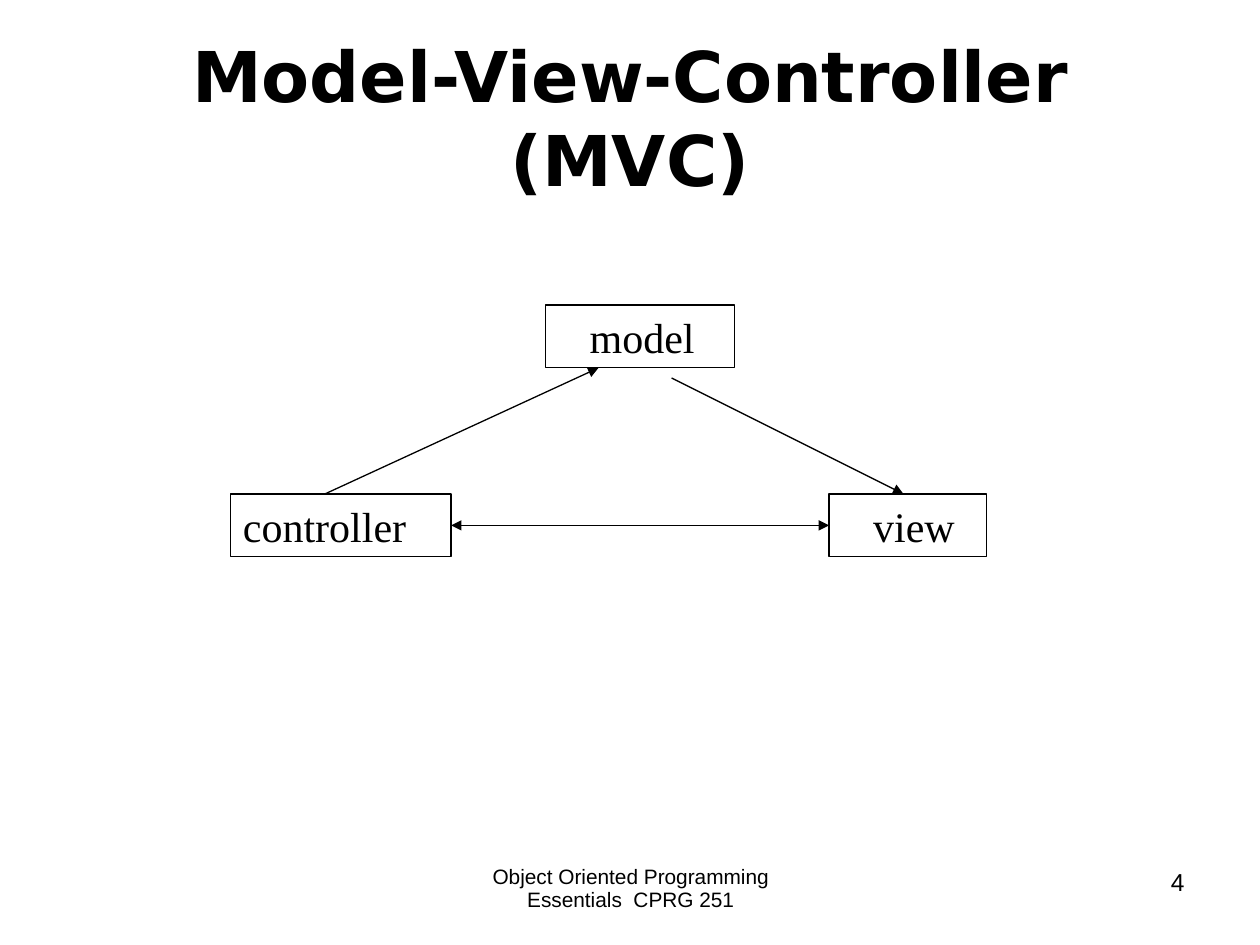
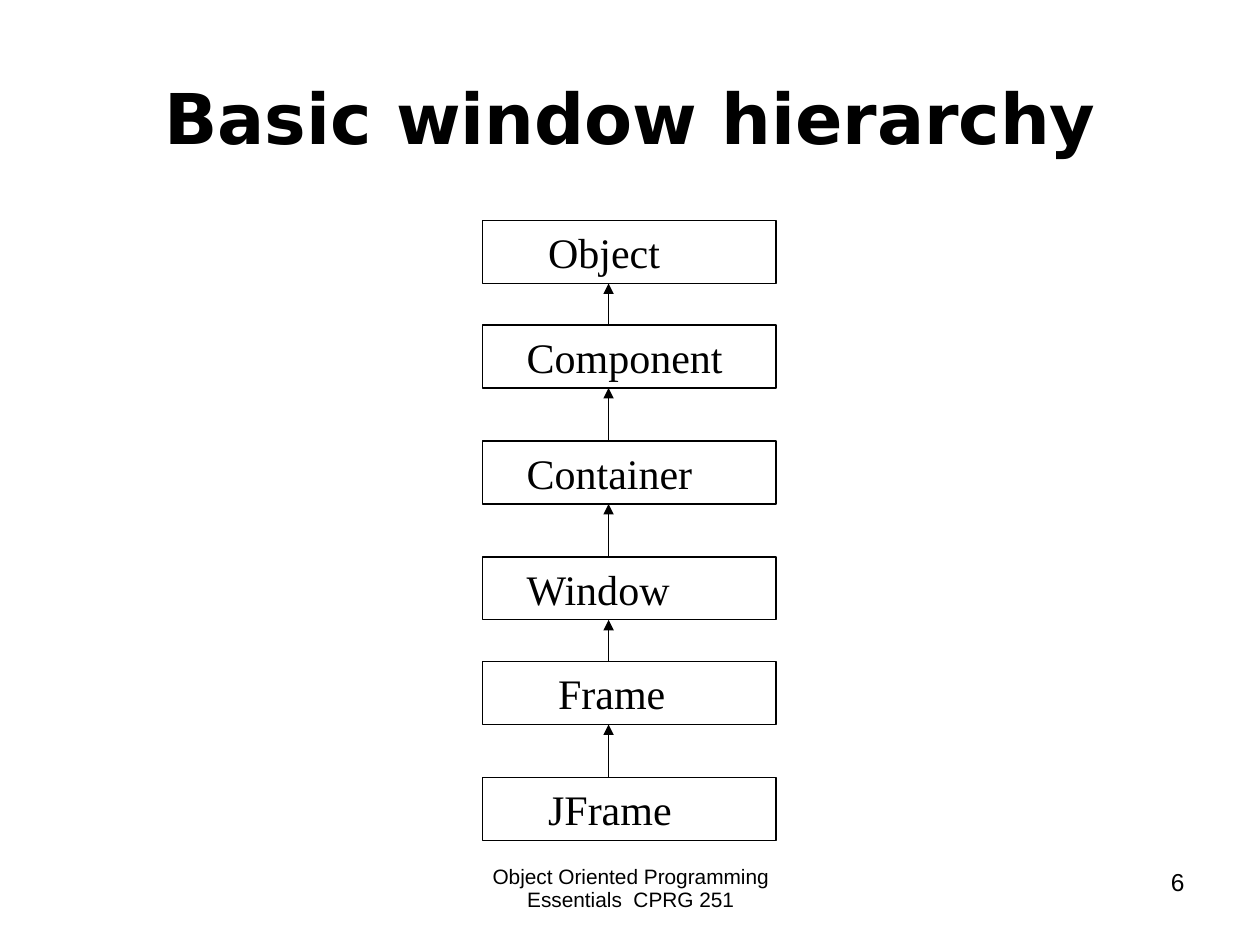
from itertools import pairwise

from lxml import etree
from pptx import Presentation
from pptx.dml.color import RGBColor
from pptx.enum.shapes import MSO_CONNECTOR, MSO_SHAPE
from pptx.enum.text import MSO_ANCHOR, MSO_AUTO_SIZE, PP_ALIGN
from pptx.oxml.ns import qn
from pptx.util import Inches, Pt

RECT = MSO_SHAPE.RECTANGLE
STRAIGHT = MSO_CONNECTOR.STRAIGHT
TOP, MIDDLE = MSO_ANCHOR.TOP, MSO_ANCHOR.MIDDLE
LEFT, CENTER, RIGHT = PP_ALIGN.LEFT, PP_ALIGN.CENTER, PP_ALIGN.RIGHT
NO_FIT = MSO_AUTO_SIZE.NONE
TITLE_ONLY = 5
LEFT_SIDE, RIGHT_SIDE = 1, 3

COLORS = {"ink": "000000", "paper": "FFFFFF"}
FONTS = {
    "title": {"name": "DejaVu Sans", "size": Pt(40), "bold": True},
    "box": {"name": "Times New Roman", "size": Pt(24)},
    "footer": {"name": "Arial", "size": Pt(11.9)},
    "number": {"name": "Arial", "size": Pt(14)},
}
FOOTER = "Object Oriented Programming Essentials  CPRG 251"
BOX_HEIGHT = 0.5
PADDING = 0.1


class Deck:
    def __init__(self):
        self.prs = Presentation()
        self.prs.slide_width = Inches(10)
        self.prs.slide_height = Inches(7.5)
        self.s = None

    def color(self, name):
        return RGBColor.from_string(COLORS[name])

    def slide(self, title, number):
        self.s = self.prs.slides.add_slide(self.prs.slide_layouts[TITLE_ONLY])
        fill = self.s.background.fill
        fill.solid()
        fill.fore_color.rgb = self.color("paper")
        self.label(FOOTER, 3.42, 3.17, "footer", CENTER, 0.9)
        self.label(str(number), 7.17, 2.33, "number", RIGHT)
        sp = self.s.shapes.title
        self.place(sp, 0.5, 0.3, 9, 1.25)
        self.text(sp, title, "title", CENTER, MIDDLE)

    def place(self, sp, x, y, w, h):
        for name, value in {"left": x, "top": y, "width": w, "height": h}.items():
            setattr(sp, name, Inches(value))

    def text(self, sp, text, style, align, anchor, indent=0, spacing=None):
        tf = sp.text_frame
        frame = {
            "text": text,
            "word_wrap": True,
            "auto_size": NO_FIT,
            "vertical_anchor": anchor,
            "margin_left": Inches(PADDING + indent),
            "margin_right": Inches(PADDING),
        }
        for name, value in frame.items():
            setattr(tf, name, value)
        p = tf.paragraphs[0]
        p.alignment = align
        p.line_spacing = spacing
        for r in p.runs:
            for name, value in FONTS[style].items():
                setattr(r.font, name, value)
            r.font.color.rgb = self.color("ink")

    def label(self, text, x, w, style, align, spacing=None):
        sp = self.s.shapes.add_textbox(Inches(x), Inches(6.83), Inches(w), Inches(0.52))
        self.text(sp, text, style, align, TOP, spacing=spacing)

    def outline(self, sp):
        sp.line.color.rgb = self.color("ink")
        sp.line.width = Pt(0.75)

    def box(self, text, x, y, w, indent=0):
        sp = self.s.shapes.add_shape(RECT, Inches(x), Inches(y), Inches(w), Inches(BOX_HEIGHT))
        sp.shadow.inherit = False
        sp.fill.background()
        self.outline(sp)
        self.text(sp, text, "box", LEFT, MIDDLE, indent)
        return sp

    def arrow(self, x1, y1, x2, y2, ends=("tailEnd",)):
        line = self.s.shapes.add_connector(STRAIGHT, *map(Inches, (x1, y1, x2, y2)))
        self.outline(line)
        ln = line.line._get_or_add_ln()
        for end in ends:
            etree.SubElement(ln, qn(f"a:{end}"), type="triangle")
        etree.SubElement(line._element.spPr, qn("a:effectLst"))
        return line


def mvc_slide(deck):
    deck.slide("Model-View-Controller\v(MVC)", 4)
    deck.box("model", 4.33, 2.42, 1.5, 0.25)
    controller = deck.box("controller", 1.83, 3.92, 1.75)
    view = deck.box("view", 6.58, 3.92, 1.25, 0.25)
    deck.arrow(2.58, 3.92, 4.75, 2.92)
    deck.arrow(5.33, 3, 7.17, 3.92)
    both_ways = deck.arrow(3.58, 4.17, 6.58, 4.17, ("headEnd", "tailEnd"))
    both_ways.begin_connect(controller, RIGHT_SIDE)
    both_ways.end_connect(view, LEFT_SIDE)


def hierarchy_slide(deck):
    deck.slide("Basic window hierarchy", 6)
    classes = [
        ("Object", 1.75, 0.42),
        ("Component", 2.58, 0.25),
        ("Container", 3.5, 0.25),
        ("Window", 4.42, 0.25),
        ("Frame", 5.25, 0.5),
        ("JFrame", 6.17, 0.42),
    ]
    for name, y, indent in classes:
        deck.box(name, 3.83, y, 2.33, indent)
    for (_, parent_y, _), (_, child_y, _) in pairwise(classes):
        deck.arrow(4.83, child_y, 4.83, parent_y + BOX_HEIGHT)


def main():
    deck = Deck()
    mvc_slide(deck)
    hierarchy_slide(deck)
    deck.prs.save("out.pptx")


if __name__ == "__main__":
    main()
